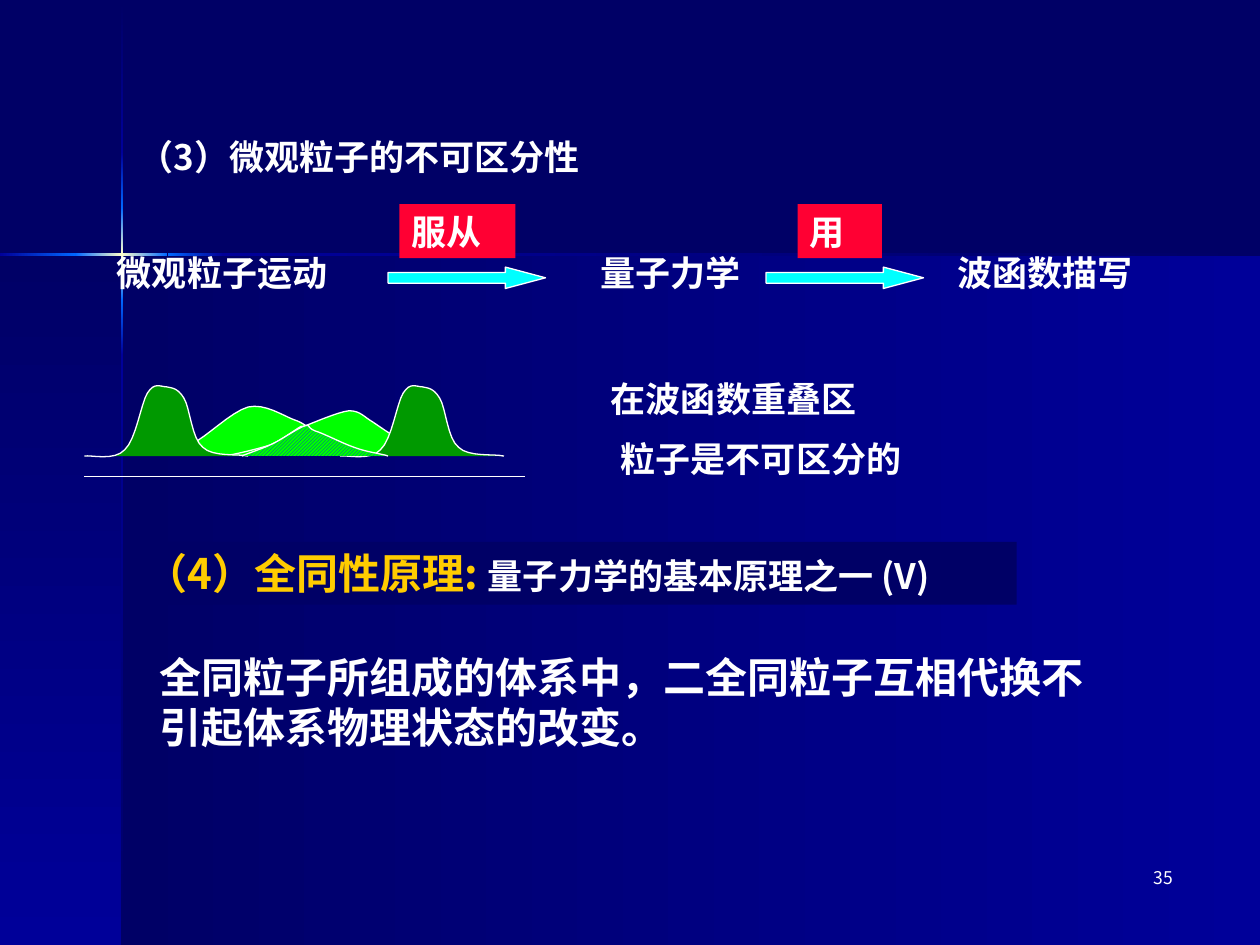
from dataclasses import dataclass
from typing import NamedTuple

from lxml import etree
from pptx import Presentation
from pptx.dml.color import RGBColor
from pptx.enum.dml import MSO_PATTERN
from pptx.enum.shapes import MSO_CONNECTOR, MSO_SHAPE
from pptx.enum.text import PP_ALIGN
from pptx.oxml.ns import qn
from pptx.util import Inches, Pt

RECTANGLE, ARROW = MSO_SHAPE.RECTANGLE, MSO_SHAPE.RIGHT_ARROW
STRAIGHT = MSO_CONNECTOR.STRAIGHT
HATCH = MSO_PATTERN.DARK_UPWARD_DIAGONAL
LEFT, CENTER, RIGHT = PP_ALIGN.LEFT, PP_ALIGN.CENTER, PP_ALIGN.RIGHT


@dataclass(frozen=True)
class Theme:
    font: str = "Noto Sans CJK SC"
    navy: str = "000066"
    blue: str = "000099"
    glow: str = "0066FF"
    flare: str = "FFFFCC"
    white: str = "FFFFFF"
    gold: str = "FFCC00"
    red: str = "FF0033"
    cyan: str = "00FFFF"
    green: str = "00FF00"
    dark_green: str = "009900"
    hatch: str = "0033CC"
    small: int = 10
    body: int = 20
    large: int = 24
    line_width: float = 0.75


THEME = Theme()


class Box(NamedTuple):
    left: float
    top: float
    width: float
    height: float


class Band(NamedTuple):
    box: Box
    colors: tuple[str, ...]
    angle: int


class Run(NamedTuple):
    text: str
    size: int = THEME.body
    color: str = THEME.white
    bold: bool = True


class Line(NamedTuple):
    runs: tuple[Run, ...]
    align: PP_ALIGN = LEFT


class Label(NamedTuple):
    box: Box
    lines: tuple[Line, ...]
    fill: str | None = None


class Curve(NamedTuple):
    """Chained cubic curves: a start point, then three points for each piece."""
    points: tuple[tuple[float, float], ...]
    fill: str
    pattern: str | None = None


def one_line(box: Box, text: str, fill: str | None = None) -> Label:
    return Label(box, (Line((Run(text),)),), fill)


N, B, G, F = THEME.navy, THEME.blue, THEME.glow, THEME.flare
BANDS = (
    Band(Box(0.97, 2.02, 9.03, 5.48), (N, B), 0),
    Band(Box(0, 2.02, 0.97, 5.48), (N, B), 90),
    Band(Box(0.96, 0.01, 0.02, 1.2), (N, B), 90),
    Band(Box(0.96, 2.82, 0.02, 4.68), (B, N), 90),
    Band(Box(1.77, 2.01, 8.23, 0.02), (B, N), 0),
    Band(Box(0.96, 2.38, 0.02, 0.44), (G, B), 90),
    Band(Box(0.96, 1.21, 0.02, 0.44), (B, G), 90),
    Band(Box(0.96, 1.65, 0.02, 0.73), (G, F, G), 90),
    Band(Box(0, 2.01, 0.6, 0.02), (B, G), 0),
    Band(Box(1.33, 2.01, 0.44, 0.02), (G, B), 0),
    Band(Box(0.6, 2.01, 0.73, 0.02), (G, F, G), 0),
)

LABELS = (
    Label(Box(7.33, 6.83, 2.08, 0.5), (Line((Run("35", THEME.small, bold=False),), RIGHT),)),
    one_line(Box(1, 1.03, 4.08, 0.43), "（3）微观粒子的不可区分性", THEME.navy),
    one_line(Box(0.83, 1.95, 2, 0.43), "微观粒子运动"),
    one_line(Box(3.17, 1.62, 0.92, 0.43), "服从", THEME.red),
    one_line(Box(4.67, 1.95, 1.5, 0.43), "量子力学"),
    one_line(Box(6.33, 1.62, 0.67, 0.43), "用", THEME.red),
    one_line(Box(7.5, 1.95, 1.83, 0.43), "波函数描写"),
    Label(Box(4.75, 2.95, 2.58, 0.93),
          (Line((Run("在波函数重叠区"),)), Line((Run("粒子是不可区分的"),), CENTER))),
    Label(Box(1.06, 4.3, 7.01, 0.5),
          (Line((Run("（4）全同性原理: ", THEME.large, THEME.gold),
                 Run("量子力学的基本原理之一 (V)"))),), THEME.navy),
    Label(Box(1.17, 5.12, 7.85, 0.91),
          (Line((Run("全同粒子所组成的体系中，二全同粒子互相代换不引起体系物理状态的改变。",
                     THEME.large),)),)),
)

ARROW_LEFTS = (3.08, 6.08)
BELL_LEFTS = (2.7, 0.67)
BELL = ((0, 3.62), (0.05, 3.61), (0.24, 3.66), (0.32, 3.57), (0.41, 3.49), (0.45, 3.2),
        (0.5, 3.12), (0.56, 3.03), (0.6, 3.07), (0.65, 3.07), (0.7, 3.08), (0.74, 3.08),
        (0.79, 3.16), (0.84, 3.24), (0.85, 3.48), (0.94, 3.55), (1.02, 3.63), (1.22, 3.6),
        (1.3, 3.62))
HUMPS = (
    Curve(((1.17, 3.61), (1.22, 3.6), (1.38, 3.59), (1.51, 3.53), (1.64, 3.47), (1.83, 3.27),
           (1.97, 3.23), (2.1, 3.2), (2.25, 3.3), (2.33, 3.33), (2.42, 3.36), (2.45, 3.4),
           (2.48, 3.42), (2.51, 3.44), (2.47, 3.43), (2.52, 3.45), (2.57, 3.47), (2.69, 3.52),
           (2.79, 3.55), (2.88, 3.58), (3.02, 3.6), (3.08, 3.61)), THEME.green),
    Curve(((1.83, 3.61), (1.89, 3.6), (2.06, 3.56), (2.15, 3.53), (2.24, 3.49), (2.33, 3.42),
           (2.38, 3.39), (2.42, 3.37), (2.35, 3.4), (2.42, 3.38), (2.48, 3.36), (2.68, 3.27),
           (2.77, 3.26), (2.86, 3.26), (2.89, 3.31), (2.96, 3.35), (3.02, 3.39), (3.1, 3.45),
           (3.17, 3.48), (3.24, 3.52), (3.29, 3.53), (3.38, 3.54), (3.46, 3.56), (3.61, 3.58),
           (3.67, 3.59)), THEME.green),
)
OVERLAP = Curve(((1.92, 3.62), (1.96, 3.6), (2.09, 3.56), (2.17, 3.52), (2.25, 3.48),
                 (2.36, 3.4), (2.42, 3.38), (2.47, 3.37), (2.43, 3.39), (2.5, 3.42),
                 (2.57, 3.44), (2.72, 3.52), (2.81, 3.55), (2.91, 3.59), (3.03, 3.6),
                 (3.08, 3.62)), THEME.green, THEME.hatch)


def rgb(color: str) -> RGBColor:
    return RGBColor.from_string(color)


def style_shape(shape, fill: str, *, outlined: bool = False) -> None:
    shape.shadow.inherit = False
    shape.fill.solid()
    shape.fill.fore_color.rgb = rgb(fill)
    if outlined:
        shape.line.color.rgb = rgb(THEME.white)
        shape.line.width = Pt(THEME.line_width)
    else:
        shape.line.fill.background()


def draw_band(slide, band: Band) -> None:
    shape = slide.shapes.add_shape(RECTANGLE, *map(Inches, band.box))
    style_shape(shape, band.colors[0])
    solid = shape._element.spPr.find(qn("a:solidFill"))
    gradient = etree.Element(qn("a:gradFill"), rotWithShape="1")
    stops = etree.SubElement(gradient, qn("a:gsLst"))
    for index, color in enumerate(band.colors):
        position = 100000 * index // (len(band.colors) - 1)
        stop = etree.SubElement(stops, qn("a:gs"), pos=str(position))
        etree.SubElement(stop, qn("a:srgbClr"), val=color)
    etree.SubElement(gradient, qn("a:lin"), ang=str(band.angle * 60000), scaled="0")
    solid.getparent().replace(solid, gradient)


def add_run(paragraph, text: str, *, size: int, color: str, bold: bool) -> None:
    run = paragraph.add_run()
    run.text = text
    run.font.name, run.font.size, run.font.bold = THEME.font, Pt(size), bold
    run.font.color.rgb = rgb(color)
    etree.SubElement(run.font._element, qn("a:ea"), typeface=THEME.font)


def draw_label(slide, label: Label) -> None:
    shape = slide.shapes.add_textbox(*map(Inches, label.box))
    if label.fill:
        style_shape(shape, label.fill)
    frame = shape.text_frame
    frame.word_wrap = True
    for index, line in enumerate(label.lines):
        paragraph = frame.add_paragraph() if index else frame.paragraphs[0]
        size = max(run.size for run in line.runs)
        paragraph.alignment, paragraph.line_spacing = line.align, Pt(1.2 * size)
        if index:
            paragraph.space_before = Pt(size / 2)
        for run in line.runs:
            add_run(paragraph, run.text, size=run.size, color=run.color, bold=run.bold)


def draw_curve(slide, curve: Curve, steps: int = 8) -> None:
    """Draw the curve as short straight segments."""
    points = curve.points
    samples = []
    for start in range(0, len(points) - 1, 3):
        for step in range(1, steps + 1):
            t = step / steps
            weights = ((1 - t) ** 3, 3 * t * (1 - t) ** 2, 3 * t * t * (1 - t), t ** 3)
            piece = zip(*points[start:start + 4])
            samples.append(tuple(Inches(sum(w * v for w, v in zip(weights, axis)))
                                 for axis in piece))
    builder = slide.shapes.build_freeform(*map(Inches, points[0]))
    builder.add_line_segments(samples, close=False)
    shape = builder.convert_to_shape()
    style_shape(shape, curve.fill, outlined=True)
    if curve.pattern:
        shape.fill.patterned()
        shape.fill.pattern = HATCH
        shape.fill.fore_color.rgb = rgb(curve.pattern)
        shape.fill.back_color.rgb = rgb(curve.fill)


def draw_arrow(slide, left: float) -> None:
    arrow = slide.shapes.add_shape(ARROW, *map(Inches, Box(left, 2.12, 1.25, 0.17)))
    arrow.adjustments[0], arrow.adjustments[1] = 0.5, 1.875
    style_shape(arrow, THEME.cyan, outlined=True)


def draw_axis(slide) -> None:
    axis = slide.shapes.add_connector(STRAIGHT, *map(Inches, (0.67, 3.78, 4.17, 3.78)))
    axis.line.color.rgb, axis.line.width = rgb(THEME.white), Pt(THEME.line_width)
    etree.SubElement(axis._element.spPr, qn("a:effectLst"))


def main() -> None:
    presentation = Presentation()
    presentation.slide_width, presentation.slide_height = Inches(10), Inches(7.5)
    slide = presentation.slides.add_slide(presentation.slide_layouts[6])
    slide.background.fill.solid()
    slide.background.fill.fore_color.rgb = rgb(THEME.navy)
    for band in BANDS:
        draw_band(slide, band)
    for label in LABELS:
        draw_label(slide, label)
    for left in ARROW_LEFTS:
        draw_arrow(slide, left)
    draw_axis(slide)
    bells = [Curve(tuple((left + x, y) for x, y in BELL), THEME.dark_green)
             for left in BELL_LEFTS]
    for curve in (*HUMPS, *bells, OVERLAP):
        draw_curve(slide, curve)
    presentation.save("out.pptx")


if __name__ == "__main__":
    main()
